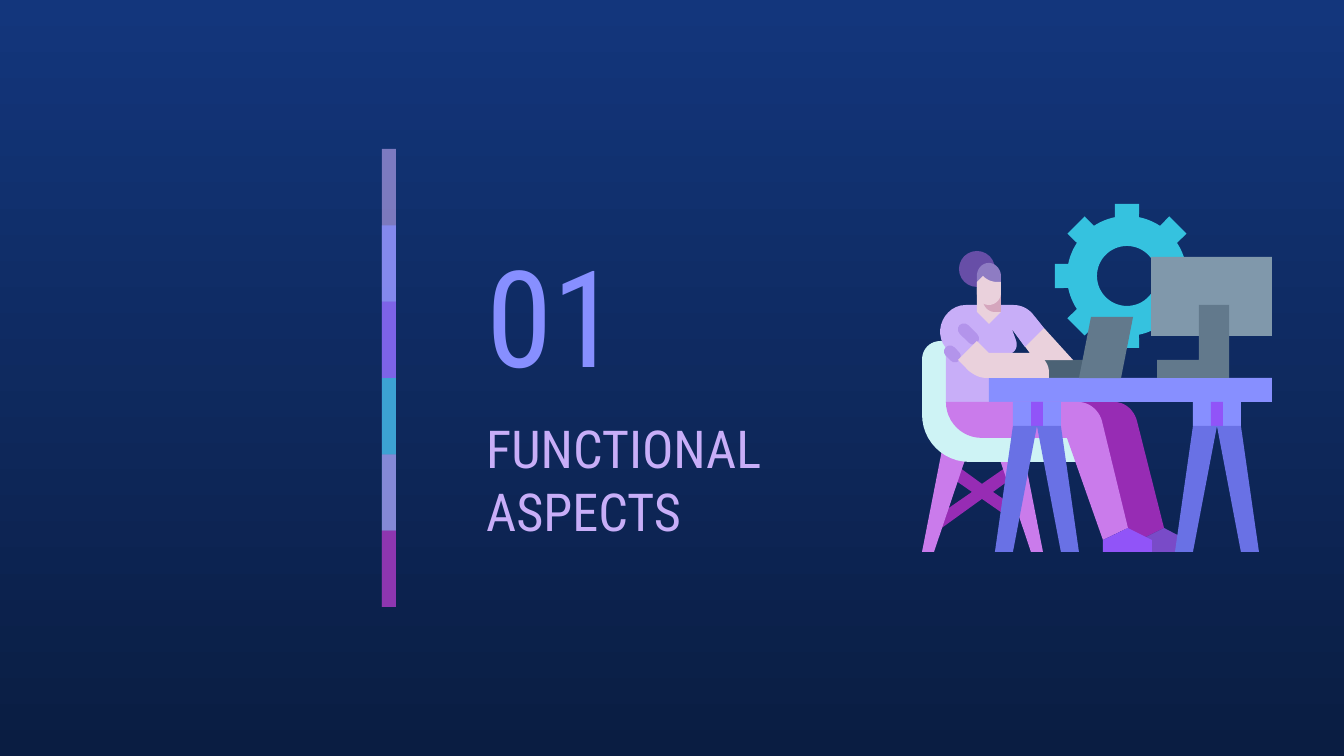
from math import asin, cos, pi, radians, sin
from pptx import Presentation, util as u
from pptx.dml.color import RGBColor
from pptx.enum import shapes, text
from pptx.oxml import parse_xml
from pptx.oxml.ns import nsdecls

HEX = dict(
    sky="13367C", night="0A1D42", lilac="C8AEF8", blue="878FFF", violet="9154F8",
    teal="35C2DF", pink="CA7BEB", plum="972CB4", slate="62798C", steel="8098AB",
    dark="4B6275", mint="CEF3F5", skin="EAD1DC", blush="D5A6BD", mauve="B394EB",
    shoe="794BC8", leg="6971E5", bun="674EA7", hair="8E7CC3",
)
FONT = "Roboto Condensed"
PX = 914400 / 134.4  # EMU in one px

# Text: words, size, colour, box, anchor
WORDS = [
    ("01", 72, "blue", (473, 223, 235, 181), "MIDDLE"),
    ("FUNCTIONAL ASPECTS", 28, "lilac", (473, 403, 386, 129), "TOP"),
]

# Colour bar: colour and opacity in percent, each piece overlaps the next
BAR = [("lilac", 59), ("blue", 74), ("violet", 53),
       ("teal", 76), ("pink", 56), ("plum", 74)]

# Drawing, back to front. A string is an outline (M, L, C in px);
# a tuple is a preset shape with its box and turn.
CHAIR = [
    ("dark", ("RECTANGLE", 1043, 360, 42, 18, 0)),
    ("plum", "M 956 465 L 949 476 L 972 492 L 933 519 L 939 530 L 982 499 L 1005 515 "
             "L 1012 505 L 993 492 L 1015 476 L 1008 466 L 982 484"),
    ("pink", "M 995 445 L 1031 552 L 1043 552 L 1022 445"),
    ("pink", "M 970 445 L 934 552 L 922 552 L 943 445"),
    ("mint", "M 941 341 C 930 341 922 349 922 360 L 922 414 C 922 441 943 462 970 462 "
             "L 1085 462 L 1085 433 L 982 433 C 966 433 953 419 953 402 L 953 341"),
]
BODY = [
    ("plum", "M 982 402 C 982 422 999 438 1019 438 L 1103 438 L 1128 540 L 1140 540 "
             "L 1164 528 L 1137 421 C 1134 410 1125 402 1114 402"),
    ("shoe", "M 1164 528 L 1140 540 L 1128 540 L 1128 552 L 1187 552 L 1187 540"),
    ("skin", "M 1012 329 L 1035 360 L 1073 360 L 1044 328"),
    ("lilac", "M 966 305 C 945 305 932 331 946 348 L 946 402 L 1012 402 L 1012 353 "
              "C 1016 351 1018 346 1016 340 L 1012 329 L 1025 347 L 1044 328 L 1032 313 "
              "C 1027 308 1021 305 1013 305"),
    ("blue", ("RECTANGLE", 989, 378, 283, 24, 0)),
    ("mauve", ("ROUNDED_RECTANGLE", 943, 348, 19, 12, 45)),
    ("mauve", ("ROUNDED_RECTANGLE", 956, 328, 25, 12, 45)),
    ("skin", "M 977 288 L 977 312 L 989 324 L 1001 312 L 1001 288"),
    ("skin", "M 977 341 L 958 360 L 969 371 C 974 375 980 378 986 378 L 1049 378 "
             "L 1049 372 C 1049 362 1040 353 1031 353 L 989 353"),
    ("slate", "M 1091 317 L 1079 378 L 1121 378 L 1133 317"),
    ("pink", "M 946 402 C 946 422 962 438 982 438 L 1067 438 L 1103 540 L 1128 528 "
             "L 1102 421 C 1099 410 1089 402 1078 402"),
    ("violet", "M 1128 528 L 1103 540 L 1103 552 L 1152 552 L 1152 540"),
    ("steel", ("RECTANGLE", 1151, 257, 121, 79, 0)),
    ("slate", "M 1199 305 L 1199 360 L 1157 360 L 1157 378 L 1229 378 L 1229 305"),
]
HEAD = [
    ("blush", "M 983 288 L 983 300 C 983 306 988 312 995 312 L 1001 312 L 1001 288"),
    ("bun", ("OVAL", 959, 251, 36, 36, 0)),
    ("hair", "M 989 263 C 982 263 977 269 977 276 L 977 288 L 1001 288 L 1001 276 "
             "C 1001 269 995 263 989 263"),
    ("skin", "M 983 276 L 977 282 L 977 293 C 977 300 982 305 989 305 "
             "C 995 305 1001 300 1001 293 L 1001 282 L 997 282 C 992 282 987 280 983 276"),
]
TRESTLES = (1217, 1037)  # middle of each
GEAR = dict(x=1127, y=276, hole=30, body=60, tip=72, half=12, teeth=8)


def emu(n):
    return u.Emu(round(n * PX))


def paint(shape, tint, alpha=100):
    shape.shadow.inherit = False
    shape.fill.solid()
    shape.fill.fore_color.rgb = RGBColor.from_string(HEX[tint])
    shape.line.fill.background()
    if alpha < 100:
        clr = shape.fill._xPr.find(".//{*}srgbClr")
        clr.append(parse_xml(f'<a:alpha {nsdecls("a")} val="{alpha * 1000}"/>'))


def preset(kind, x, y, w, h, turn, tint, alpha=100):
    shape = draw.add_shape(shapes.MSO_SHAPE[kind], *map(emu, (x, y, w, h)))
    shape.rotation = turn
    if kind == "ROUNDED_RECTANGLE":
        shape.adjustments[0] = 0.5
    paint(shape, tint, alpha)


def outline(loops, tint):
    loops = [[(emu(x), emu(y)) for x, y in loop] for loop in loops]
    pen = draw.build_freeform(*loops[0][0], scale=1.0)
    for i, loop in enumerate(loops):
        if i:
            pen.move_to(*loop[0])
        pen.add_line_segments(loop[1:], close=True)
    paint(pen.convert_to_shape(), tint)


def points(line, steps=12):
    """Turn an outline string into points, with curves cut into short steps."""
    words, pts = line.split(), []
    while words:
        size = 6 if words.pop(0) == "C" else 2
        nums = [int(n) for n in words[:size]]
        del words[:size]
        if size == 2:
            pts.append(tuple(nums))
            continue
        knots = [pts[-1], *zip(nums[::2], nums[1::2])]
        for k in range(1, steps + 1):
            t = k / steps
            mix = ((1 - t) ** 3, 3 * t * (1 - t) ** 2, 3 * t * t * (1 - t), t ** 3)
            pts.append(tuple(sum(m * p[a] for m, p in zip(mix, knots)) for a in (0, 1)))
    return pts


def sketch(parts):
    for tint, part in parts:
        if isinstance(part, str):
            outline([points(part)], tint)
        else:
            preset(*part, tint)


def gear(x, y, hole, body, tip, half, teeth):
    def at(r, a):
        return x + r * cos(a), y + r * sin(a)

    step, foot, edge = 2 * pi / teeth, asin(half / body), asin(half / tip)
    rim = []
    for i in range(teeth):
        a = i * step
        far = tip / cos(edge)
        rim += [at(body, a - foot), at(far, a - edge), at(far, a + edge)]
        rim += [at(body, a + foot + k / 6 * (step - 2 * foot)) for k in range(6)]
    ring = [at(hole, -radians(d)) for d in range(0, 360, 6)]
    outline([rim, ring], "teal")


def trestle(mid):
    for half, tint in ((24, "blue"), (6, "violet")):
        preset("RECTANGLE", mid - half, 402, 2 * half, 24, 0, tint)
    for side in (-1, 1):
        foot = [(24, 426), (42, 552), (24, 552), (0, 426)]
        outline([[(mid + side * x, y) for x, y in foot]], "leg")


deck = Presentation()
deck.slide_width, deck.slide_height = emu(1344), emu(756)
slide = deck.slides.add_slide(deck.slide_layouts[6])
draw = slide.shapes

# Background
back = slide.background.fill
back.gradient()
back.gradient_angle = 270
for stop, tint in zip(back.gradient_stops, ("sky", "night")):
    stop.color.rgb = RGBColor.from_string(HEX[tint])
for stop, place in zip(back.gradient_stops, (0, 1)):
    stop.position = place

# Number and title
for words, size, tint, box, anchor in WORDS:
    frame = draw.add_textbox(*map(emu, box)).text_frame
    frame.word_wrap = True
    frame.vertical_anchor = text.MSO_ANCHOR[anchor]
    frame.margin_left = frame.margin_right = u.Inches(0.1)
    frame.margin_top = frame.margin_bottom = u.Inches(0.1)
    frame.text = words
    font = frame.paragraphs[0].runs[0].font
    font.name, font.size = FONT, u.Pt(size)
    font.color.rgb = RGBColor.from_string(HEX[tint])

# Woman at a desk
gear(**GEAR)
sketch(CHAIR + BODY)
for mid in TRESTLES:
    trestle(mid)
sketch(HEAD)

# Colour bar
top, end = 149, 607
step = (end - top) / len(BAR)
for i, (tint, alpha) in enumerate(BAR):
    y = top + i * step
    preset("RECTANGLE", 382, y, 14, min(2 * step, end - y), 0, tint, alpha)

deck.save("out.pptx")
